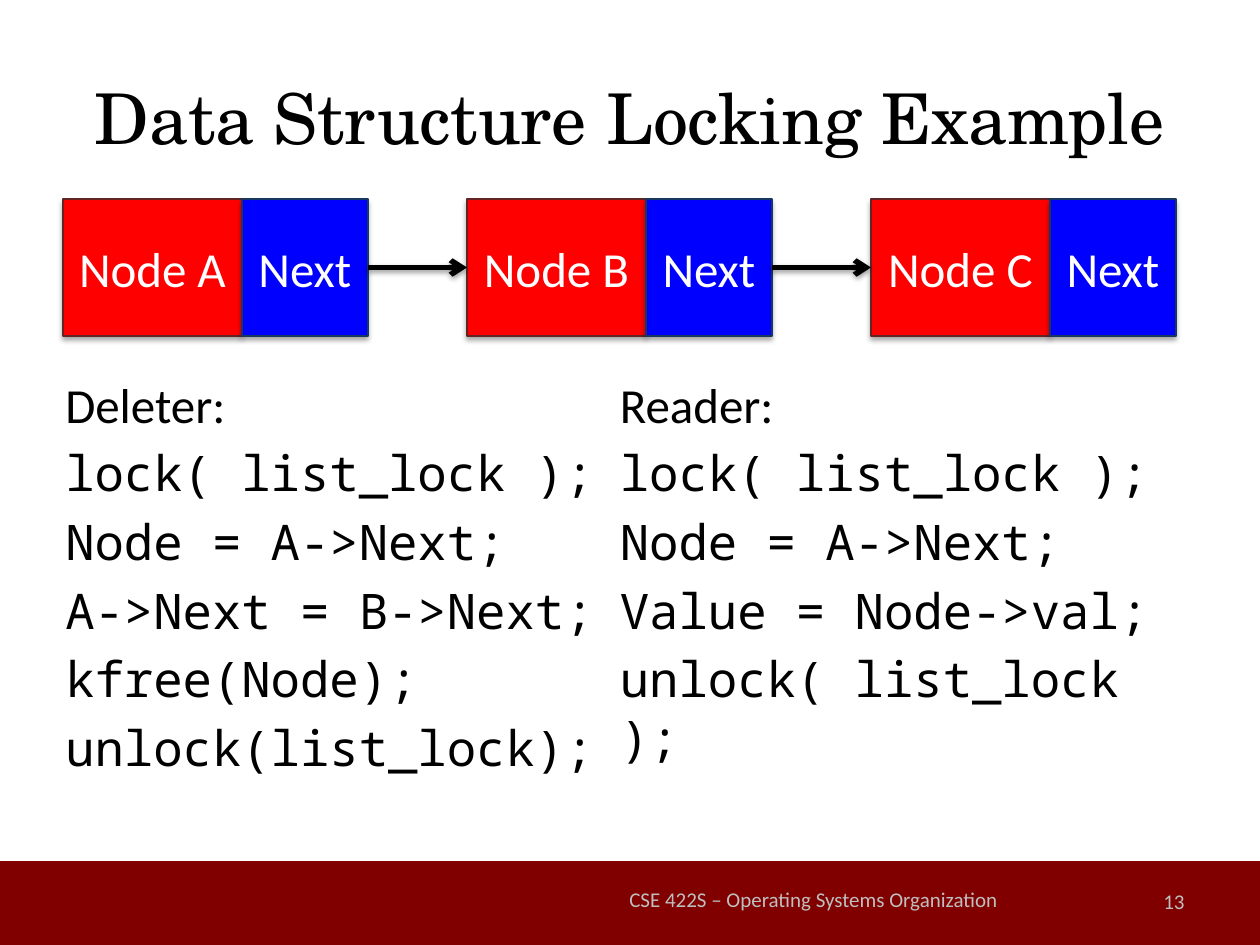
from dataclasses import dataclass

from lxml.etree import SubElement
from pptx import Presentation
from pptx.dml.color import RGBColor
from pptx.enum.shapes import MSO_CONNECTOR, MSO_SHAPE
from pptx.enum.text import MSO_ANCHOR, PP_ALIGN
from pptx.oxml.ns import qn
from pptx.util import Pt


@dataclass(frozen=True)
class Theme:
    black: str = "000000"
    white: str = "FFFFFF"
    footer_fill: str = "800000"
    footer_text: str = "BFBFBF"
    node_fill: str = "FF0000"
    node_line: str = "632523"
    next_fill: str = "0000FF"
    next_line: str = "17375E"
    title_font: str = "TeX Gyre Schola"
    body_font: str = "Calibri"
    code_font: str = "Noto Sans Mono"
    title_size: int = 40
    body_size: int = 28
    footer_size: int = 12


theme = Theme()
PX = 914400 / 126


def box(*lengths):
    return [round(length * PX) for length in lengths]


def format_paragraph(paragraph, font, size, color, alignment):
    paragraph.alignment = alignment
    paragraph.font.name = font
    paragraph.font.size = Pt(size)
    paragraph.font.color.rgb = RGBColor.from_string(color)


presentation = Presentation()
presentation.slide_width, presentation.slide_height = box(1260, 945)
slide = presentation.slides.add_slide(presentation.slide_layouts[5])
shapes = slide.shapes

title = shapes.title
title.left, title.top, title.width, title.height = box(63, 38, 1134, 158)
title.text_frame.text = "Data Structure Locking Example"
title.text_frame.vertical_anchor = MSO_ANCHOR.MIDDLE
format_paragraph(title.text_frame.paragraphs[0], theme.title_font, theme.title_size,
                 theme.black, PP_ALIGN.CENTER)

footer_bar = shapes.add_shape(MSO_SHAPE.RECTANGLE, *box(0, 861, 1260, 84))
footer_bar.shadow.inherit = False
footer_bar.fill.solid()
footer_bar.fill.fore_color.rgb = RGBColor.from_string(theme.footer_fill)
footer_bar.line.fill.background()

for text, place, alignment in [
    ("CSE 422S – Operating Systems Organization", (514, 872, 599, 54), PP_ALIGN.CENTER),
    ("13", (903, 876, 294, 50), PP_ALIGN.RIGHT),
]:
    footer = shapes.add_textbox(*box(*place))
    footer.text_frame.word_wrap = True
    footer.text_frame.vertical_anchor = MSO_ANCHOR.MIDDLE
    footer.text_frame.text = text
    format_paragraph(footer.text_frame.paragraphs[0], theme.body_font, theme.footer_size,
                     theme.footer_text, alignment)

shadowed = []
nodes = []
for index, letter in enumerate("ABC"):
    left = 63 + index * 404
    group = shapes.add_group_shape()
    cells = []
    for text, cell_left, width, fill, line in [
        (f"Node {letter}", left, 179, theme.node_fill, theme.node_line),
        ("Next", left + 179, 126, theme.next_fill, theme.next_line),
    ]:
        cell = group.shapes.add_shape(MSO_SHAPE.RECTANGLE, *box(cell_left, 199, width, 137))
        cell.fill.solid()
        cell.fill.fore_color.rgb = RGBColor.from_string(fill)
        cell.line.color.rgb = RGBColor.from_string(line)
        cell.line.width = Pt(0.75)
        cell.text_frame.text = text
        cell.text_frame.vertical_anchor = MSO_ANCHOR.MIDDLE
        format_paragraph(cell.text_frame.paragraphs[0], theme.body_font, theme.body_size,
                         theme.white, PP_ALIGN.CENTER)
        cells.append(cell)
        shadowed.append((cell, 35, 1.8))
    nodes.append(cells)

for (_, next_cell), (node_cell, _) in zip(nodes, nodes[1:]):
    arrow = shapes.add_connector(MSO_CONNECTOR.STRAIGHT, 0, 0, 0, 0)
    arrow.begin_connect(next_cell, 3)
    arrow.end_connect(node_cell, 1)
    arrow.line.color.rgb = RGBColor.from_string(theme.black)
    arrow.line.width = Pt(3)
    SubElement(arrow.line._get_or_add_ln(), qn("a:tailEnd"), type="arrow")
    shadowed.append((arrow, 38, 1.6))

for shape, opacity, distance in shadowed:
    effects = SubElement(shape._element.spPr, qn("a:effectLst"))
    shadow = SubElement(effects, qn("a:outerShdw"), blurRad=str(Pt(3.1)),
                        dist=str(Pt(distance)), dir="5400000", rotWithShape="0")
    color = SubElement(shadow, qn("a:srgbClr"), val=theme.black)
    SubElement(color, qn("a:alpha"), val=str(opacity * 1000))

listing = shapes.add_textbox(*box(53, 368, 1134, 472))
frame = listing.text_frame
frame.word_wrap = True
frame._txBody.bodyPr.set("numCol", "2")
frame.text = "\n".join([
    "Deleter:",
    "lock( list_lock );",
    "Node = A->Next;",
    "A->Next = B->Next;",
    "kfree(Node);",
    "unlock(list_lock);",
    "Reader:",
    "lock( list_lock );",
    "Node = A->Next;",
    "Value = Node->val;",
    "unlock( list_lock );",
])
for paragraph in frame.paragraphs:
    font = theme.body_font if paragraph.text.endswith(":") else theme.code_font
    format_paragraph(paragraph, font, theme.body_size, theme.black, PP_ALIGN.LEFT)
    spacing = paragraph._p.get_or_add_pPr().get_or_add_spcBef()
    SubElement(spacing, qn("a:spcPct"), val="20000")

presentation.save("out.pptx")
